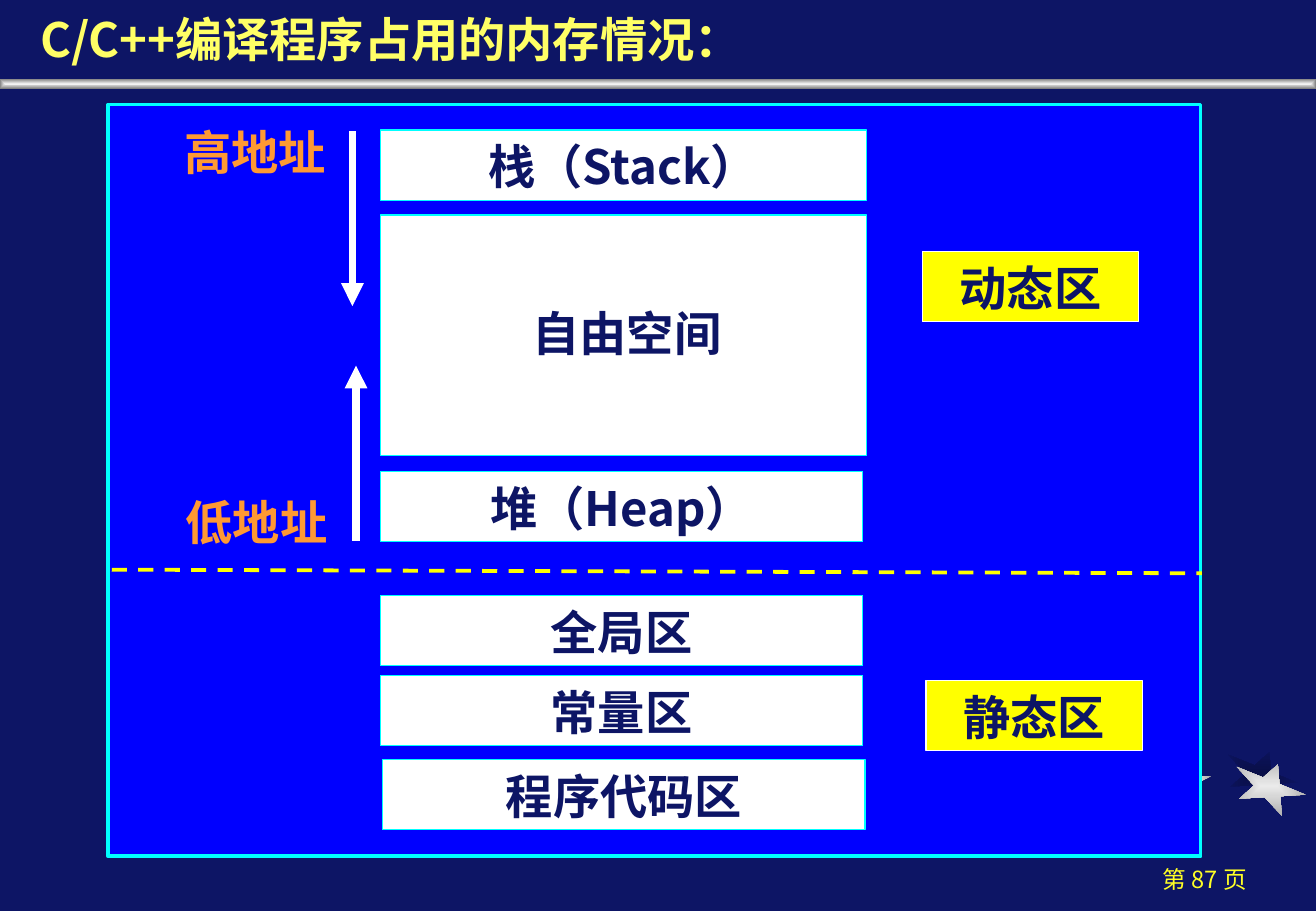
from lxml import etree
from pptx import Presentation
from pptx.dml.color import RGBColor
from pptx.enum.dml import MSO_LINE
from pptx.enum.shapes import MSO_CONNECTOR, MSO_SHAPE
from pptx.enum.text import MSO_ANCHOR, PP_ALIGN
from pptx.oxml.ns import qn
from pptx.util import Inches, Pt

RECTANGLE, STAR = MSO_SHAPE.RECTANGLE, MSO_SHAPE.STAR_5_POINT
STRAIGHT, DASH = MSO_CONNECTOR.STRAIGHT, MSO_LINE.DASH
LEFT, CENTER = PP_ALIGN.LEFT, PP_ALIGN.CENTER
BOTTOM, TOP = MSO_ANCHOR.BOTTOM, MSO_ANCHOR.TOP
FONT = "Noto Sans CJK SC"
COLORS = {name: RGBColor.from_string(value) for name, value in {
    "navy": "0D1565", "dark navy": "090F48", "light gray": "EAEAEA",
    "gray": "A7A7A7", "pale gray": "F2F2F2", "mid gray": "808080",
    "blue": "0000FF", "cyan": "00FFFF", "white": "FFFFFF",
    "yellow": "FFFF00", "title yellow": "FFFF66",
    "page yellow": "FFFF25", "orange": "FF9933"}.items()}

presentation = Presentation()
presentation.slide_width = Inches(10.83)
presentation.slide_height = Inches(7.5)
slide = presentation.slides.add_slide(presentation.slide_layouts[5])
slide.background.fill.solid()
slide.background.fill.fore_color.rgb = COLORS["navy"]


def add_box(kind, bounds, fill, line=None, width=0.75):
    """Add a shape; a pair of fill names makes a gradient from the centre out."""
    shape = slide.shapes.add_shape(kind, *map(Inches, bounds))
    shape.shadow.inherit = False
    if isinstance(fill, tuple):
        shape.fill.gradient()
        for stop, name in zip(shape.fill.gradient_stops, fill):
            stop.color.rgb = COLORS[name]
        linear = shape._element.spPr.find(".//" + qn("a:lin"))
        radial = etree.Element(qn("a:path"), path="shape")
        etree.SubElement(radial, qn("a:fillToRect"),
                         l="50000", t="50000", r="50000", b="50000")
        linear.getparent().replace(linear, radial)
    else:
        shape.fill.solid()
        shape.fill.fore_color.rgb = COLORS[fill]
    if line:
        shape.line.color.rgb = COLORS[line]
        shape.line.width = Pt(width)
    else:
        shape.line.fill.background()
    return shape


def write_text(shape, text, color, size=28, bold=True, align=CENTER, anchor=BOTTOM):
    frame = shape.text_frame
    frame.text = text
    frame.word_wrap = True
    frame.vertical_anchor = anchor
    paragraph = frame.paragraphs[0]
    paragraph.alignment = align
    font = paragraph.font
    font.size, font.bold, font.name = Pt(size), bold, FONT
    font.color.rgb = COLORS[color]
    properties = paragraph._p.pPr.find(qn("a:defRPr"))
    etree.SubElement(properties, qn("a:ea"), typeface=FONT)


# Decoration: stars with their shades, page number, bar under the title
for bounds, rotation, fill in [
    ((9.47, 6.24, 0.42, 0.26), 0, ("dark navy", "navy")),
    ((10.07, 6.18, 0.61, 0.38), 22, ("dark navy", "navy")),
    ((9.55, 6.29, 0.42, 0.26), 0, ("light gray", "gray")),
    ((10.14, 6.28, 0.61, 0.38), 22, ("light gray", "gray")),
]:
    add_box(STAR, bounds, fill).rotation = rotation
page_number = slide.shapes.add_textbox(Inches(9), Inches(7.07), Inches(1.83), Inches(0.33))
write_text(page_number, "第 87 页", "page yellow", size=14, bold=False, anchor=TOP)
add_box(RECTANGLE, (0, 0.65, 10.83, 0.08), ("pale gray", "mid gray"))

title = slide.shapes.title
title.left, title.top, title.width, title.height = map(Inches, (0.23, 0, 10.16, 0.6))
write_text(title, "C/C++编译程序占用的内存情况：", "title yellow", align=LEFT)

# Memory map
add_box(RECTANGLE, (0.89, 0.86, 8.99, 6.19), "blue", "cyan", 2.25)
add_box(RECTANGLE, (3.13, 1.77, 4, 1.98), "white", "cyan")
for text, left, top, width, height, fill, line in [
    ("栈（Stack）", 3.13, 1.07, 4, 0.58, "white", "cyan"),
    ("自由空间", 3.24, 2.45, 3.84, 0.57, "white", None),
    ("堆（Heap）", 3.13, 3.88, 3.97, 0.58, "white", "cyan"),
    ("全局区", 3.13, 4.9, 3.97, 0.58, "white", "cyan"),
    ("常量区", 3.13, 5.56, 3.97, 0.58, "white", "cyan"),
    ("程序代码区", 3.15, 6.25, 3.97, 0.58, "white", "cyan"),
    ("动态区", 7.59, 2.07, 1.78, 0.58, "yellow", "white"),
    ("静态区", 7.62, 5.6, 1.78, 0.58, "yellow", "white"),
]:
    write_text(add_box(RECTANGLE, (left, top, width, height), fill, line), text, "navy")

for text, left, top in [("高地址", 1.42, 0.96), ("低地址", 1.43, 4.01)]:
    label = slide.shapes.add_textbox(Inches(left), Inches(top), Inches(1.62), Inches(0.57))
    write_text(label, text, "orange", align=LEFT)

# Divider and the two growth arrows
for ends, color, width, is_arrow in [
    ((0.92, 4.69, 9.89, 4.72), "yellow", 2.25, False),
    ((2.9, 1.08, 2.9, 2.52), "white", 4.5, True),
    ((2.93, 4.45, 2.93, 3.01), "white", 4.5, True),
]:
    connector = slide.shapes.add_connector(STRAIGHT, *map(Inches, ends))
    connector.line.color.rgb = COLORS[color]
    connector.line.width = Pt(width)
    if is_arrow:
        etree.SubElement(connector.line._get_or_add_ln(), qn("a:tailEnd"), type="triangle")
    else:
        connector.line.dash_style = DASH
    etree.SubElement(connector._element.spPr, qn("a:effectLst"))

presentation.save("out.pptx")
